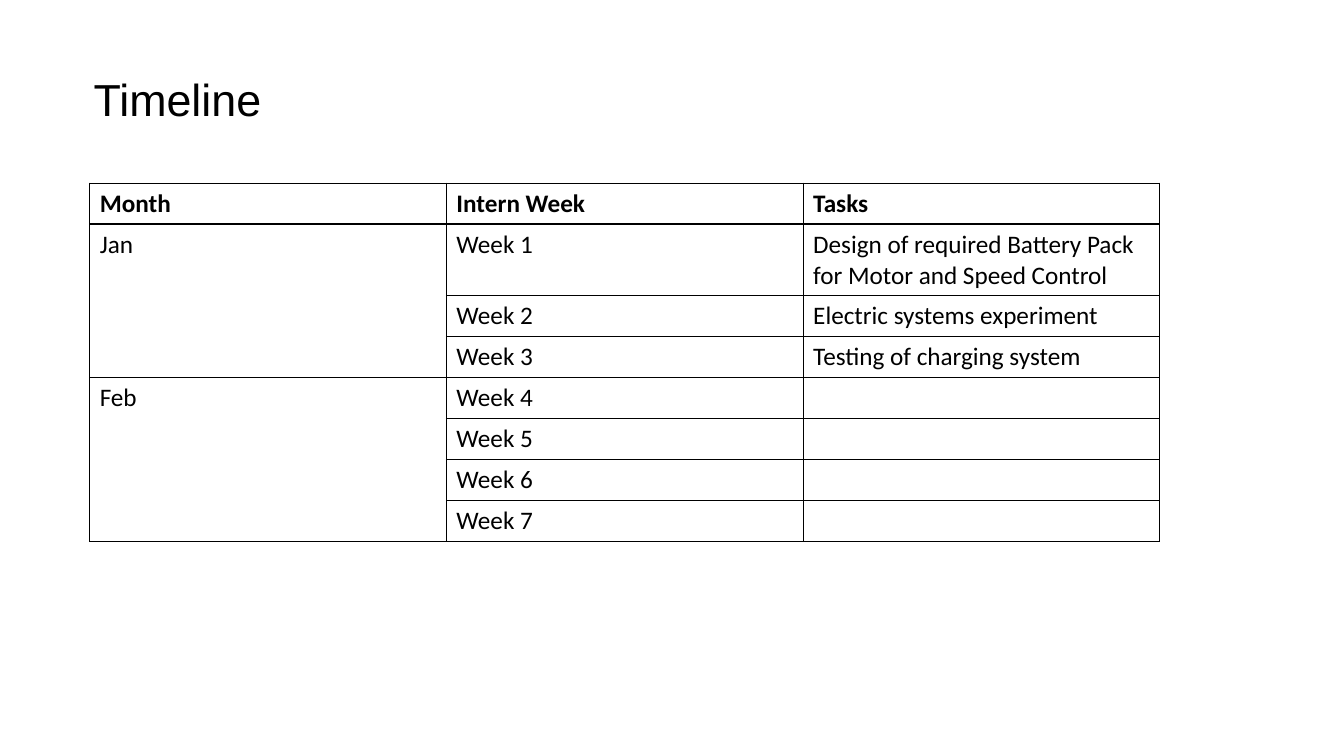
"""Build the internship timeline slide with its table of months, weeks and tasks."""
from lxml import etree
from pptx import Presentation
from pptx import util as u
from pptx.dml.color import RGBColor
from pptx.enum import text
from pptx.oxml import ns

BLACK = "000000"
WHITE = "FFFFFF"
HEADINGS = ["Month", "Intern Week", "Tasks"]
TASKS = [
    "Design of required Battery Pack for Motor and Speed Control",
    "Electric systems experiment",
    "Testing of charging system",
    "", "", "", "",
]
MONTHS = {"Jan": (1, 3), "Feb": (4, 7)}


def write(paragraph, wording, **font_format):
    run = paragraph.add_run()
    run.text = wording
    run.font.color.rgb = RGBColor.from_string(BLACK)
    for name, value in font_format.items():
        setattr(run.font, name, value)


def add_border(properties, position, side, points):
    line = etree.Element(ns.qn(f"a:ln{side}"), w=str(u.Pt(points)))
    fill = etree.SubElement(line, ns.qn("a:solidFill"))
    etree.SubElement(fill, ns.qn("a:srgbClr"), val=BLACK)
    properties.insert(position, line)


presentation = Presentation()
presentation.slide_width = u.Cm(33.87)
presentation.slide_height = u.Cm(19.05)
slide = presentation.slides.add_slide(presentation.slide_layouts[6])

title = slide.shapes.add_textbox(u.Cm(2.11), u.Cm(1.68), u.Cm(22.89), u.Cm(3.18))
title.text_frame.word_wrap = True
title.text_frame.auto_size = text.MSO_AUTO_SIZE.NONE
write(title.text_frame.paragraphs[0], "Timeline", name="Arial", size=u.Pt(32))

rows = [HEADINGS] + [["", f"Week {week}", task] for week, task in enumerate(TASKS, 1)]
for month, (first, last) in MONTHS.items():
    rows[first][0] = month

table = slide.shapes.add_table(
    len(rows), len(HEADINGS), u.Cm(2.26), u.Cm(4.62), u.Cm(27), u.Cm(9)
).table
table.horz_banding = False
for column in table.columns:
    column.width = u.Cm(8.99)
for row in table.rows:
    row.height = u.Cm(1.03)
table.rows[1].height = u.Cm(1.78)

for row_index, wordings in enumerate(rows):
    is_header = row_index == 0
    for column_index, wording in enumerate(wordings):
        cell = table.cell(row_index, column_index)
        cell.fill.solid()
        cell.fill.fore_color.rgb = RGBColor.from_string(WHITE)
        for position, side in enumerate("LRTB"):
            points = 2 if is_header and side == "B" else 1
            add_border(cell.fill._xPr, position, side, points)
        if wording:
            write(cell.text_frame.paragraphs[0], wording,
                  name="Calibri", size=u.Pt(18), bold=is_header)

for first, last in MONTHS.values():
    table.cell(first, 0).merge(table.cell(last, 0))

presentation.save("out.pptx")
